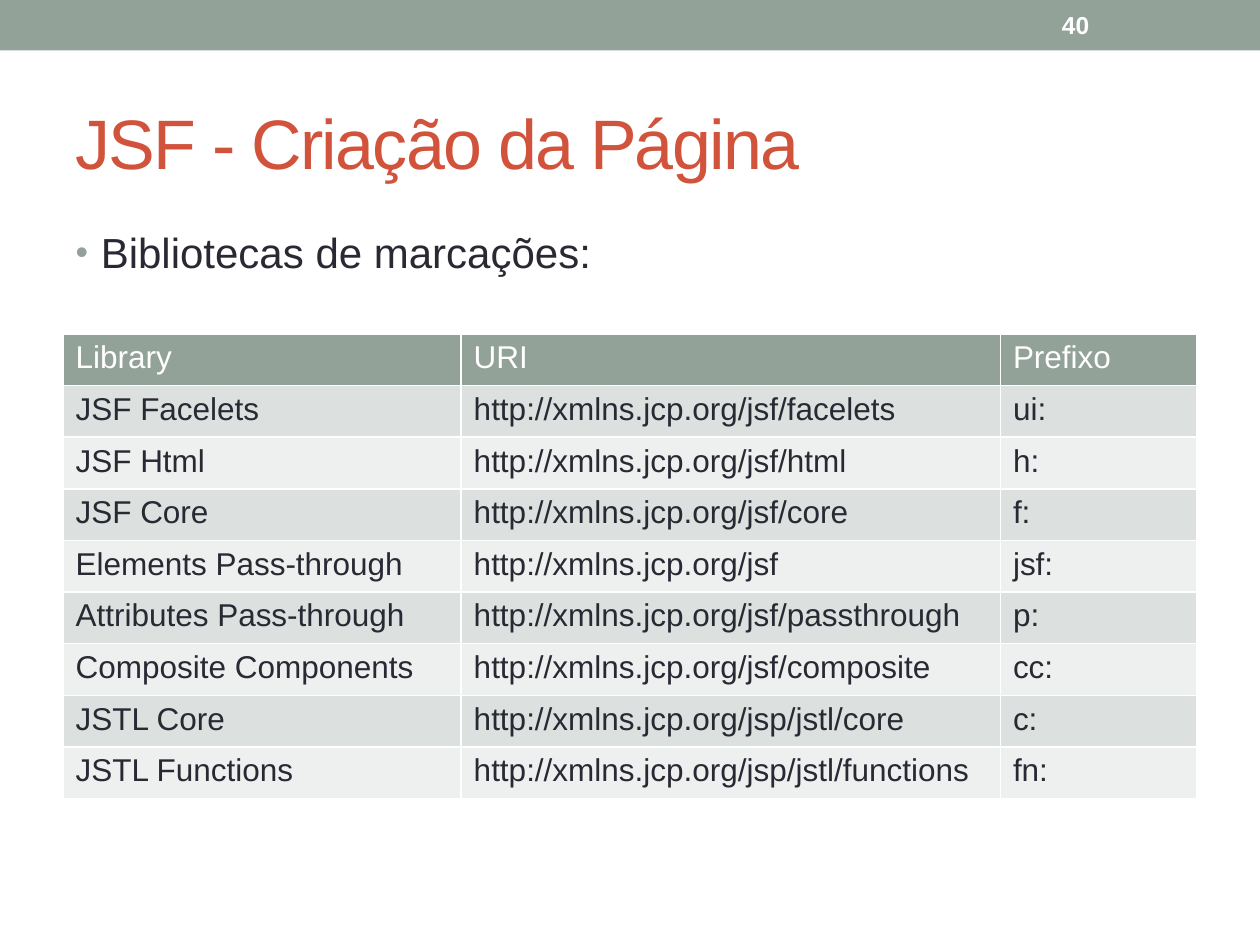
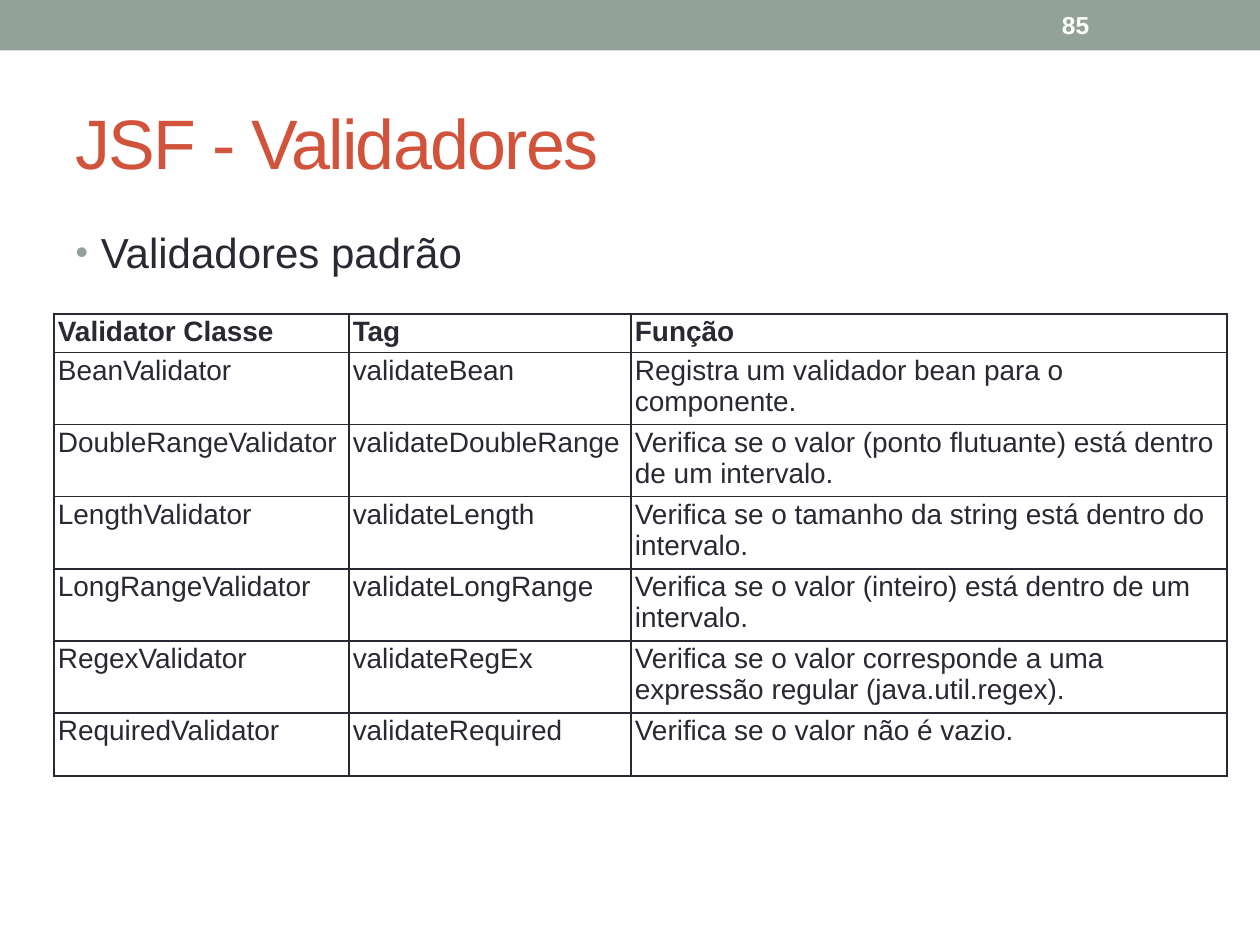
from pptx import Presentation
from pptx.dml.color import RGBColor
from pptx.enum.shapes import MSO_SHAPE
from pptx.enum.text import MSO_ANCHOR, PP_ALIGN
from pptx.oxml import parse_xml
from pptx.oxml.ns import nsdecls
from pptx.util import Inches, Pt

SAGE = RGBColor(0x93, 0xA2, 0x99)
RUST = RGBColor(0xD2, 0x53, 0x3C)
INK = RGBColor(0x29, 0x29, 0x34)
WHITE = RGBColor(0xFF, 0xFF, 0xFF)
DARK = RGBColor(0xDC, 0xE0, 0xDE)
LIGHT = RGBColor(0xEE, 0xF0, 0xEF)

TITLE = {"size": Pt(40), "bold": False, "name": "Arial"}
BODY = {"size": Pt(24), "bold": False, "name": "Arial"}
NUMBER = {"size": Pt(14), "bold": True, "name": "Arial"}
CELL = {"size": Pt(18), "bold": False, "name": "Arial"}
SMALL = {"size": Pt(16), "bold": False, "name": "Arial"}
HEAD = {"size": Pt(16), "bold": True, "name": "Arial"}

URL = "http://xmlns.jcp.org/"
pages = [
    {
        "title": "JSF - Criação da Página",
        "body": "Bibliotecas de marcações:",
        "number": "40",
        "at": (0.5, 2.65),
        "cols": [3.16, 4.28, 1.56],
        "heights": [0.41] * 9,
        "pad": (0.1, 0.05),
        "line": WHITE,
        "fills": (SAGE, DARK, LIGHT),
        "inks": (WHITE, INK),
        "fonts": (CELL, CELL),
        "rows": [
            ("Library", "URI", "Prefixo"),
            ("JSF Facelets", URL + "jsf/facelets", "ui:"),
            ("JSF Html", URL + "jsf/html", "h:"),
            ("JSF Core", URL + "jsf/core", "f:"),
            ("Elements Pass-through", URL + "jsf", "jsf:"),
            ("Attributes Pass-through", URL + "jsf/passthrough", "p:"),
            ("Composite Components", URL + "jsf/composite", "cc:"),
            ("JSTL Core", URL + "jsp/jstl/core", "c:"),
            ("JSTL Functions", URL + "jsp/jstl/functions", "fn:"),
        ],
    },
    {
        "title": "JSF - Validadores",
        "body": "Validadores padrão",
        "number": "85",
        "at": (0.43, 2.49),
        "cols": [2.34, 2.24, 4.73],
        "heights": [0.28, 0.52, 0.56, 0.52, 0.52, 0.55, 0.5],
        "pad": (0.03, 0.02),
        "line": INK,
        "fills": None,
        "inks": (INK, INK),
        "fonts": (HEAD, SMALL),
        "rows": [
            ("Validator Classe", "Tag", "Função"),
            ("BeanValidator", "validateBean",
             "Registra um validador bean para o componente."),
            ("DoubleRangeValidator", "validateDoubleRange",
             "Verifica se o valor (ponto flutuante) está dentro de um intervalo."),
            ("LengthValidator", "validateLength",
             "Verifica se o tamanho da string está dentro do intervalo."),
            ("LongRangeValidator", "validateLongRange",
             "Verifica se o valor (inteiro) está dentro de um intervalo."),
            ("RegexValidator", "validateRegEx",
             "Verifica se o valor corresponde a uma expressão regular (java.util.regex)."),
            ("RequiredValidator", "validateRequired",
             "Verifica se o valor não é vazio."),
        ],
    },
]


def write(frame, text, form, color):
    para = frame.paragraphs[0]
    para.alignment = PP_ALIGN.LEFT
    run = para.add_run()
    run.text = text
    for key, value in form.items():
        setattr(run.font, key, value)
    run.font.color.rgb = color
    return para


def place(shape, *box):
    for key, value in zip(("left", "top", "width", "height"), box):
        setattr(shape, key, Inches(value))


deck = Presentation()
deck.slide_width = Inches(10)
deck.slide_height = Inches(7.5)

for page in pages:
    slide = deck.slides.add_slide(deck.slide_layouts[1])
    shapes = slide.shapes

    band = shapes.add_shape(MSO_SHAPE.RECTANGLE, 0, 0, Inches(10), Inches(0.4))
    band.shadow.inherit = False
    band.fill.solid()
    band.fill.fore_color.rgb = SAGE
    band.line.fill.background()

    title = shapes.title
    place(title, 0.5, 0.58, 9, 1.08)
    title.text_frame.vertical_anchor = MSO_ANCHOR.MIDDLE
    para = write(title.text_frame, page["title"], TITLE, RUST)
    para.runs[0].font._element.set("spc", "-100")

    body = slide.placeholders[1]
    place(body, 0.5, 1.75, 9, 5.33)
    para = write(body.text_frame, page["body"], BODY, INK)
    props = para._p.get_or_add_pPr()
    props.set("marL", str(Inches(0.2)))
    props.set("indent", str(-Inches(0.2)))
    for mark in (
        f'<a:buClr {nsdecls("a")}><a:srgbClr val="{SAGE}"/></a:buClr>',
        f'<a:buSzPct {nsdecls("a")} val="85000"/>',
        f'<a:buFont {nsdecls("a")} typeface="Arial"/>',
        f'<a:buChar {nsdecls("a")} char="•"/>',
    ):
        props.append(parse_xml(mark))

    number = shapes.add_textbox(Inches(8.33), Inches(0.02), Inches(1.17), Inches(0.36))
    number.text_frame.word_wrap = True
    number.text_frame.vertical_anchor = MSO_ANCHOR.MIDDLE
    write(number.text_frame, page["number"], NUMBER, WHITE)

    rows, cols, heights = page["rows"], page["cols"], page["heights"]
    left, top = page["at"]
    table = shapes.add_table(
        len(rows), len(cols), Inches(left), Inches(top),
        Inches(sum(cols)), Inches(sum(heights)),
    ).table
    table.first_row = False
    table.horz_banding = False
    for col, width in zip(table.columns, cols):
        col.width = Inches(width)
    for row, height in zip(table.rows, heights):
        row.height = Inches(height)

    side, edge = page["pad"]
    for r, row in enumerate(rows):
        kind = min(r, 1)
        for c, text in enumerate(row):
            cell = table.cell(r, c)
            cell.margin_left = cell.margin_right = Inches(side)
            cell.margin_top = cell.margin_bottom = Inches(edge)
            write(cell.text_frame, text, page["fonts"][kind], page["inks"][kind])
            props = cell._tc.get_or_add_tcPr()
            for name in ("lnL", "lnR", "lnT", "lnB"):
                props.append(parse_xml(
                    f'<a:{name} {nsdecls("a")} w="{Pt(1)}"><a:solidFill>'
                    f'<a:srgbClr val="{page["line"]}"/></a:solidFill></a:{name}>'
                ))
            if page["fills"]:
                head, odd, even = page["fills"]
                cell.fill.solid()
                cell.fill.fore_color.rgb = head if r == 0 else odd if r % 2 else even
            else:
                cell.fill.background()

deck.save("out.pptx")
